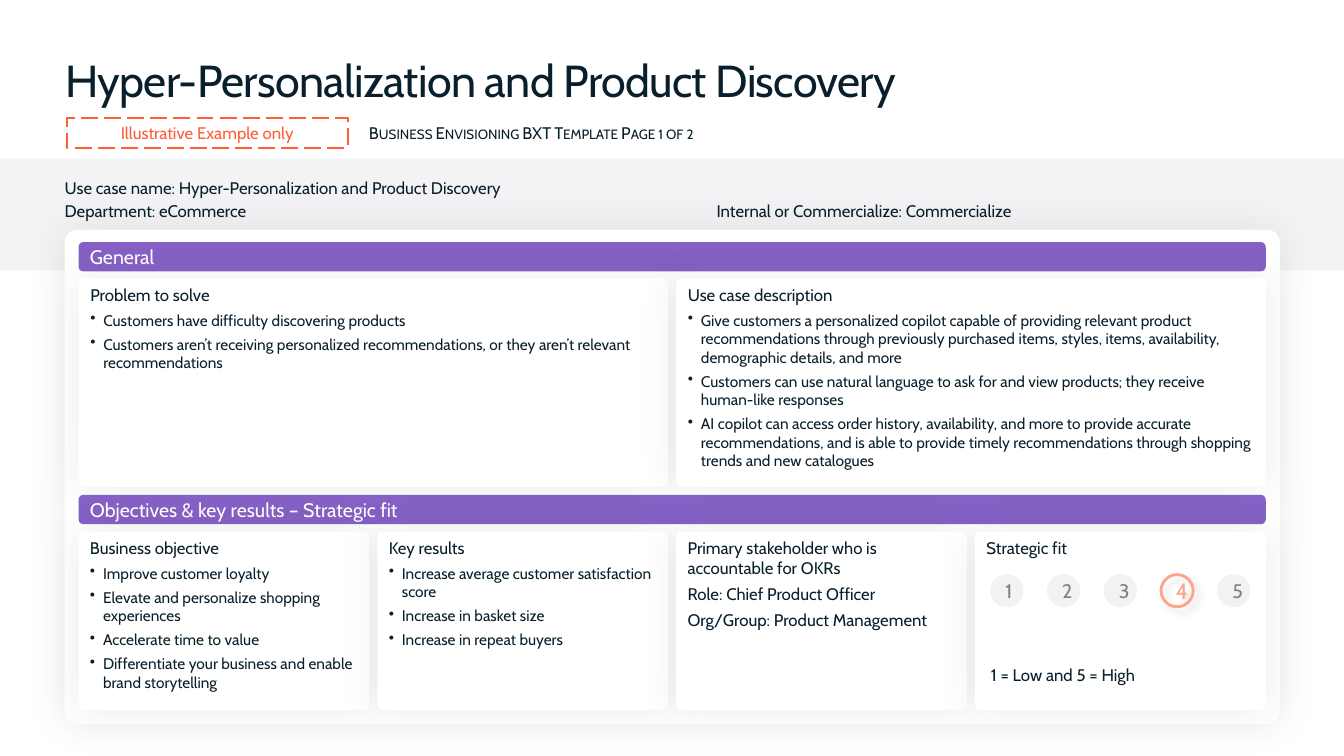
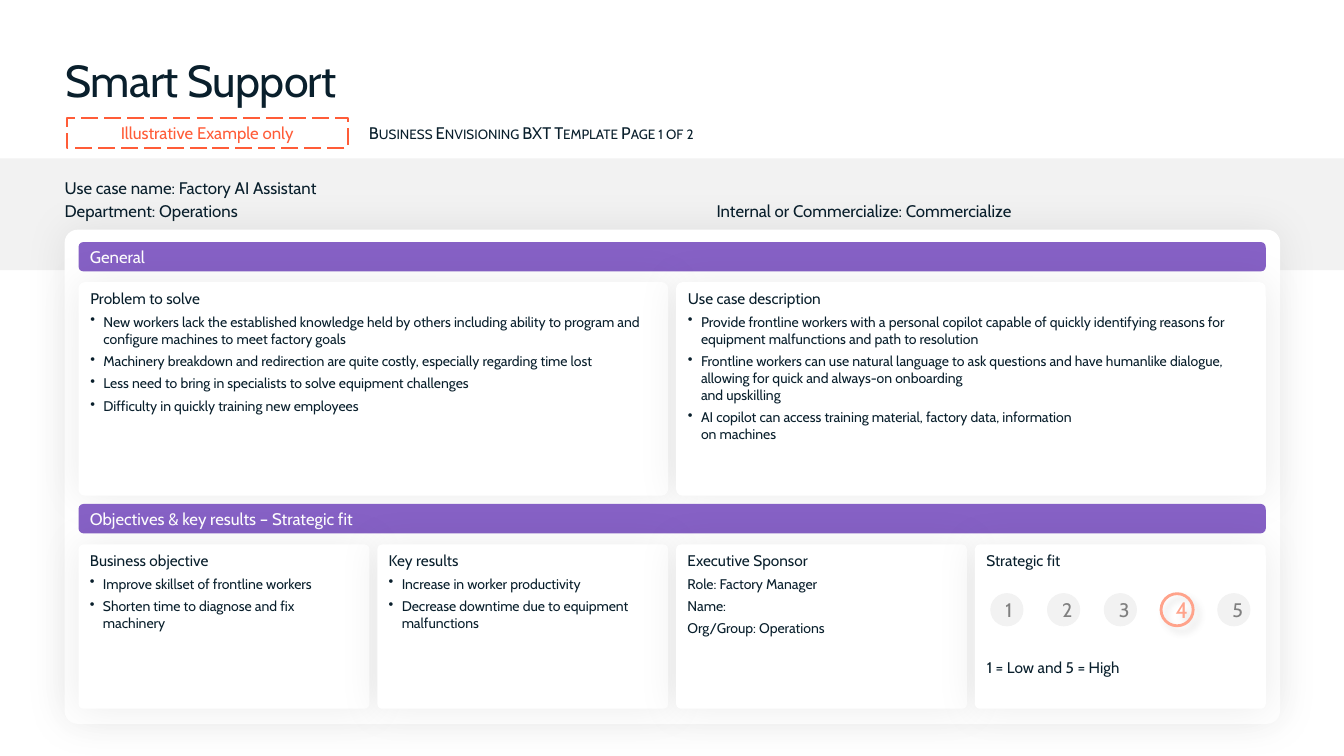
import dataclasses

import lxml.etree
import pptx
import pptx.dml.color
import pptx.enum.dml
import pptx.enum.shapes
import pptx.enum.text
import pptx.oxml.ns
import pptx.util

Cm = pptx.util.Cm
Pt = pptx.util.Pt
RGBColor = pptx.dml.color.RGBColor
Shapes = pptx.enum.shapes.MSO_SHAPE
Align = pptx.enum.text.PP_ALIGN
Anchor = pptx.enum.text.MSO_ANCHOR
qn = pptx.oxml.ns.qn

# Shared style
FONT = "Cabin"
INK = RGBColor(0x09, 0x1F, 0x2C)
WHITE = RGBColor(0xFF, 0xFF, 0xFF)
PURPLE = RGBColor(0x86, 0x61, 0xC5)
ORANGE = RGBColor(0xFF, 0x5C, 0x38)
PEACH = RGBColor(0xFF, 0xA3, 0x8B)
COOL_GREY = RGBColor(0xF3, 0xF3, 0xF5)
LIGHT_GREY = RGBColor(0xF2, 0xF2, 0xF2)
MID_GREY = RGBColor(0x80, 0x80, 0x80)

# Shadows: colour, opacity %, blur pt, distance pt, angle in degrees
SOFT_SHADOW = ("000000", 7, 30, 0, 0)
RING_SHADOW = ("737373", 20, 5, 5, 45)

# Shared grid, in centimetres
SLIDE_WIDTH, SLIDE_HEIGHT = 33.87, 19.05
GRID_LEFT, GRID_WIDTH, GRID_GAP = 1.98, 29.92, 0.2
BANNER_HEIGHT = 0.74
GENERAL_BANNER_TOP = 6.1
RATING_LEFT, RATING_STEP, RATING_SIZE = 24.97, 1.43, 0.81
BULLET_INDENT = 0.33
DEFAULT_INSETS = (0.25, 0.13, 0.25, 0.13)
NO_INSETS = (0, 0, 0, 0)


@dataclasses.dataclass
class Card:
    heading: str
    lines: tuple = ()
    bulleted: bool = True
    line_size: int = 0


@dataclasses.dataclass
class UseCase:
    title: str
    name: str
    department: str
    band_color: RGBColor
    banner_size: int
    heading_size: int
    line_size: int
    general_row: tuple  # top, height
    objectives_banner_top: float
    objectives_row: tuple  # top, height
    rating_top: float
    legend_position: tuple  # left, top
    general_cards: tuple
    objective_cards: tuple
    rating: int = 4


HYPER_PERSONALIZATION = UseCase(
    title="Hyper-Personalization and Product Discovery",
    name="Hyper-Personalization and Product Discovery",
    department="eCommerce",
    band_color=COOL_GREY,
    banner_size=14, heading_size=12, line_size=11,
    general_row=(7.01, 5.26),
    objectives_banner_top=12.47,
    objectives_row=(13.39, 4.5),
    rating_top=14.48,
    legend_position=(24.97, 16.76),
    general_cards=(
        Card("Problem to solve", (
            "Customers have difficulty discovering products",
            "Customers aren’t receiving personalized recommendations, or they "
            "aren’t relevant recommendations")),
        Card("Use case description", (
            "Give customers a personalized copilot capable of providing relevant "
            "product recommendations through previously purchased items, styles, "
            "items, availability, demographic details, and more",
            "Customers can use natural language to ask for and view products; "
            "they receive human-like responses",
            "AI copilot can access order history, availability, and more to "
            "provide accurate recommendations, and is able to provide timely "
            "recommendations through shopping trends and new catalogues"))),
    objective_cards=(
        Card("Business objective", (
            "Improve customer loyalty",
            "Elevate and personalize shopping experiences",
            "Accelerate time to value",
            "Differentiate your business and enable brand storytelling")),
        Card("Key results", (
            "Increase average customer satisfaction score",
            "Increase in basket size",
            "Increase in repeat buyers")),
        Card("Primary stakeholder who is accountable for OKRs", (
            "Role: Chief Product Officer",
            "Org/Group: Product Management"), bulleted=False, line_size=12),
        Card("Strategic fit")))

SMART_SUPPORT = UseCase(
    title="Smart Support",
    name="Factory AI Assistant",
    department="Operations",
    band_color=LIGHT_GREY,
    banner_size=12, heading_size=11, line_size=10,
    general_row=(7.11, 5.38),
    objectives_banner_top=12.7,
    objectives_row=(13.72, 4.14),
    rating_top=14.96,
    legend_position=(24.87, 16.59),
    general_cards=(
        Card("Problem to solve", (
            "New workers lack the established knowledge held by others including "
            "ability to program and configure machines to meet factory goals",
            "Machinery breakdown and redirection are quite costly, especially "
            "regarding time lost",
            "Less need to bring in specialists to solve equipment challenges",
            "Difficulty in quickly training new employees")),
        Card("Use case description", (
            "Provide frontline workers with a personal copilot capable of quickly "
            "identifying reasons for equipment malfunctions and path to resolution",
            "Frontline workers can use natural language to ask questions and have "
            "humanlike dialogue, allowing for quick and always-on onboarding\n"
            "and upskilling",
            "AI copilot can access training material, factory data, information\n"
            "on machines"))),
    objective_cards=(
        Card("Business objective", (
            "Improve skillset of frontline workers",
            "Shorten time to diagnose and fix machinery")),
        Card("Key results", (
            "Increase in worker productivity",
            "Decrease downtime due to equipment malfunctions")),
        Card("Executive Sponsor", (
            "Role: Factory Manager",
            "Name:",
            "Org/Group: Operations"), bulleted=False),
        Card("Strategic fit")))


# Text helpers
def prepare_frame(shape, insets=DEFAULT_INSETS, anchor=Anchor.TOP):
    frame = shape.text_frame
    frame.word_wrap = True
    frame.vertical_anchor = anchor
    (frame.margin_left, frame.margin_top,
     frame.margin_right, frame.margin_bottom) = map(Cm, insets)
    return frame


def write_paragraph(paragraph, text, size, color=INK, align=Align.LEFT, bulleted=False):
    paragraph.text = text
    paragraph.alignment = align
    if bulleted:
        properties = paragraph._p.get_or_add_pPr()
        properties.set("marL", str(Cm(BULLET_INDENT)))
        properties.set("indent", str(-Cm(BULLET_INDENT)))
        lxml.etree.SubElement(properties, qn("a:buChar")).set("char", "•")
    font = paragraph.font
    font.name = FONT
    font.size = Pt(size)
    font.color.rgb = color
    return font


def add_label(slide, box, text, size, insets=NO_INSETS, anchor=Anchor.TOP):
    label = slide.shapes.add_textbox(*map(Cm, box))
    frame = prepare_frame(label, insets, anchor)
    return write_paragraph(frame.paragraphs[0], text, size)


# Shape helpers
def add_shadow(shape, color, opacity, blur, distance, angle):
    effects = shape._element.spPr.find(qn("a:effectLst"))
    shadow = lxml.etree.SubElement(effects, qn("a:outerShdw"))
    shadow.set("blurRad", str(Pt(blur)))
    shadow.set("dist", str(Pt(distance)))
    shadow.set("dir", str(angle * 60000))
    shadow.set("algn", "ctr")
    shadow.set("rotWithShape", "0")
    shadow_color = lxml.etree.SubElement(shadow, qn("a:srgbClr"))
    shadow_color.set("val", color)
    lxml.etree.SubElement(shadow_color, qn("a:alpha")).set("val", str(opacity * 1000))


def add_block(slide, kind, box, fill=None, line=None, line_width=0.75,
              rounding=None, shadow=None):
    shape = slide.shapes.add_shape(kind, *map(Cm, box))
    shape.shadow.inherit = False
    if fill is None:
        shape.fill.background()
    else:
        shape.fill.solid()
        shape.fill.fore_color.rgb = fill
    if line is None:
        shape.line.fill.background()
    else:
        shape.line.color.rgb = line
        shape.line.width = Pt(line_width)
    if rounding is not None:
        shape.adjustments[0] = rounding
    if shadow:
        add_shadow(shape, *shadow)
    return shape


def add_banner(slide, top, text, size):
    banner = add_block(slide, Shapes.ROUNDED_RECTANGLE,
                       (GRID_LEFT, top, GRID_WIDTH, BANNER_HEIGHT), fill=PURPLE)
    frame = prepare_frame(banner, anchor=Anchor.MIDDLE)
    write_paragraph(frame.paragraphs[0], text, size, WHITE)


def add_card_row(slide, row, cards, heading_size, line_size):
    top, height = row
    width = (GRID_WIDTH - GRID_GAP * (len(cards) - 1)) / len(cards)
    for column, card in enumerate(cards):
        left = GRID_LEFT + column * (width + GRID_GAP)
        shape = add_block(slide, Shapes.ROUNDED_RECTANGLE, (left, top, width, height),
                          fill=WHITE, rounding=0.03, shadow=SOFT_SHADOW)
        frame = prepare_frame(shape)
        heading = frame.paragraphs[0]
        heading.space_after = Pt(4)
        write_paragraph(heading, card.heading, heading_size)
        for line in card.lines:
            paragraph = frame.add_paragraph()
            paragraph.space_after = Pt(4)
            write_paragraph(paragraph, line, card.line_size or line_size,
                            bulleted=card.bulleted)


def add_rating_scale(slide, top, rating):
    for score in range(1, 6):
        box = (RATING_LEFT + (score - 1) * RATING_STEP, top, RATING_SIZE, RATING_SIZE)
        if score == rating:
            circle = add_block(slide, Shapes.OVAL, box, line=PEACH, line_width=2,
                               shadow=RING_SHADOW)
            size, color = 16, PEACH
        else:
            circle = add_block(slide, Shapes.OVAL, box, fill=LIGHT_GREY, line=LIGHT_GREY)
            size, color = 14, MID_GREY
        frame = prepare_frame(circle, anchor=Anchor.MIDDLE)
        write_paragraph(frame.paragraphs[0], str(score), size, color, Align.CENTER)


def add_header(slide, use_case):
    add_block(slide, Shapes.RECTANGLE, (0, 3.99, SLIDE_WIDTH, 2.82),
              fill=use_case.band_color)
    title_font = add_label(slide, (1.65, 1.19, 30.58, 1.63), use_case.title, 32,
                           insets=(0, 0.13, 0.25, 0.13))
    title_font._element.set("spc", "-50")

    # Dashed tag and template name
    tag = add_block(slide, Shapes.RECTANGLE, (1.68, 2.97, 7.09, 0.76),
                    line=ORANGE, line_width=1.5)
    tag.line.dash_style = pptx.enum.dml.MSO_LINE.LONG_DASH
    write_paragraph(prepare_frame(tag).paragraphs[0], "Illustrative Example only",
                    12, ORANGE, Align.CENTER)
    template_font = add_label(slide, (9.3, 3.1, 11.58, 0.51),
                              "Business Envisioning BXT Template Page 1 of 2", 12)
    template_font._element.set("cap", "small")

    # Use case facts
    add_label(slide, (1.63, 4.47, 24.05, 0.51), f"Use case name: {use_case.name}", 12,
              anchor=Anchor.MIDDLE)
    add_label(slide, (1.63, 5.05, 14.22, 0.53), f"Department: {use_case.department}", 12,
              anchor=Anchor.MIDDLE)
    add_label(slide, (18.06, 5.05, 14.22, 0.53),
              "Internal or Commercialize: Commercialize", 12)


def add_use_case_slide(presentation, use_case):
    slide = presentation.slides.add_slide(presentation.slide_layouts[6])
    add_header(slide, use_case)
    add_block(slide, Shapes.ROUNDED_RECTANGLE, (1.63, 5.79, 30.63, 12.45),
              fill=WHITE, rounding=0.026, shadow=SOFT_SHADOW)
    sizes = (use_case.heading_size, use_case.line_size)
    add_banner(slide, GENERAL_BANNER_TOP, "General", use_case.banner_size)
    add_card_row(slide, use_case.general_row, use_case.general_cards, *sizes)
    add_banner(slide, use_case.objectives_banner_top,
               "Objectives & key results – Strategic fit", use_case.banner_size)
    add_card_row(slide, use_case.objectives_row, use_case.objective_cards, *sizes)
    add_rating_scale(slide, use_case.rating_top, use_case.rating)
    add_label(slide, (*use_case.legend_position, 6.5, 0.51), "1 = Low and 5 = High",
              use_case.heading_size)


def main():
    presentation = pptx.Presentation()
    presentation.slide_width = Cm(SLIDE_WIDTH)
    presentation.slide_height = Cm(SLIDE_HEIGHT)
    for use_case in (HYPER_PERSONALIZATION, SMART_SUPPORT):
        add_use_case_slide(presentation, use_case)
    presentation.save("out.pptx")


if __name__ == "__main__":
    main()
